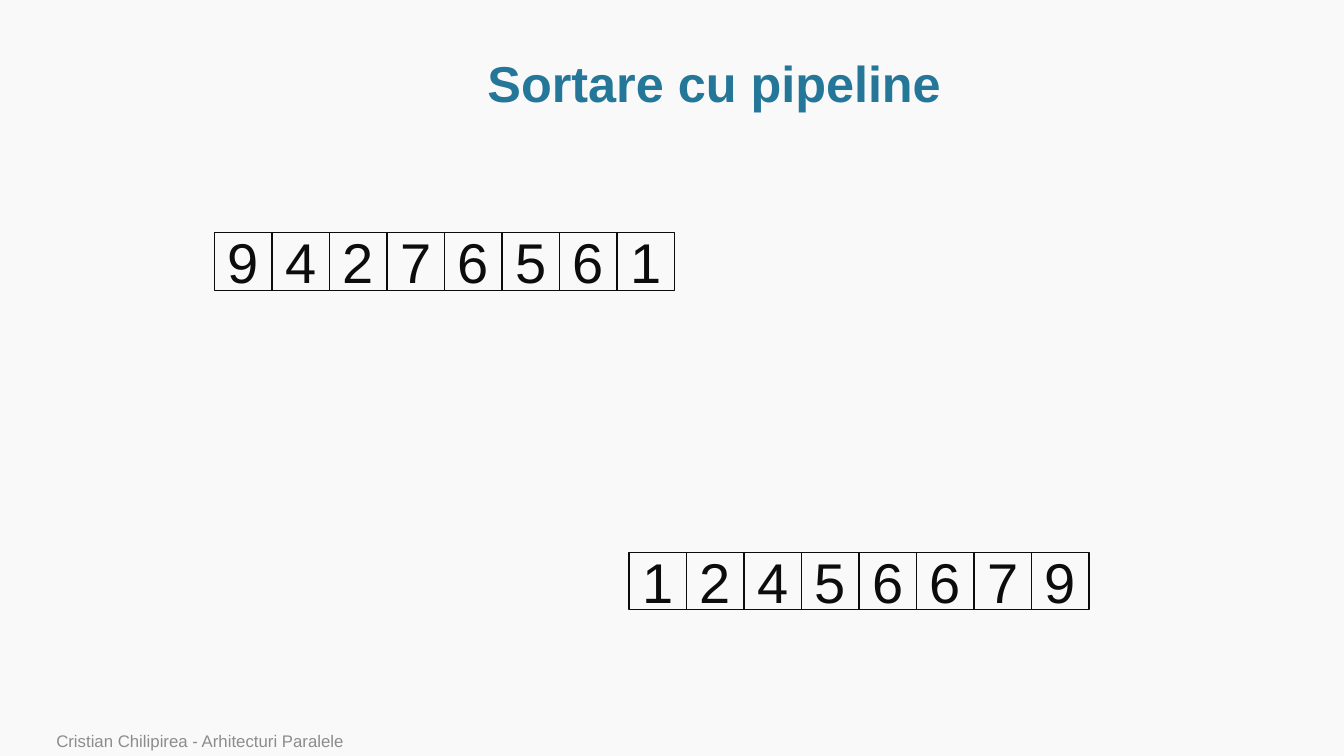
from pptx import Presentation
from pptx.dml.color import RGBColor
from pptx.enum.shapes import MSO_SHAPE
from pptx.enum.text import MSO_ANCHOR, PP_ALIGN
from pptx.util import Inches, Pt

RECTANGLE = MSO_SHAPE.RECTANGLE
MIDDLE, BOTTOM = MSO_ANCHOR.MIDDLE, MSO_ANCHOR.BOTTOM
LEFT, CENTER = PP_ALIGN.LEFT, PP_ALIGN.CENTER

BACKGROUND = RGBColor(0xF9, 0xF9, 0xF9)
TEAL = RGBColor(0x24, 0x77, 0x98)
INK = RGBColor(0x0C, 0x0C, 0x0C)
GRAY = RGBColor(0x8C, 0x8C, 0x8C)

TITLE_ONLY = 5
CELL = 0.57


class SlideBuilder:
    font_name = "Arial"

    def __init__(self, slide):
        self.slide = slide
        slide.background.fill.solid()
        slide.background.fill.fore_color.rgb = BACKGROUND

    def add_text(self, frame, text, size, color, align, anchor, bold=False):
        frame.word_wrap = True
        frame.vertical_anchor = anchor
        paragraph = frame.paragraphs[0]
        paragraph.alignment = align
        run = paragraph.add_run()
        run.text = text
        run.font.name = self.font_name
        run.font.size = Pt(size)
        run.font.bold = bold
        run.font.color.rgb = color
        return paragraph

    def title(self, text, left, top, width, height):
        heading = self.slide.shapes.title
        heading.left, heading.top = Inches(left), Inches(top)
        heading.width, heading.height = Inches(width), Inches(height)
        paragraph = self.add_text(heading.text_frame, text, 36, TEAL, CENTER, MIDDLE, bold=True)
        paragraph.line_spacing = 0.9

    def number_row(self, numbers, left, top):
        """Draw the numbers as touching square cells, from left to right."""
        for index, number in enumerate(numbers):
            cell = self.slide.shapes.add_shape(
                RECTANGLE, Inches(left + index * CELL), Inches(top), Inches(CELL), Inches(CELL))
            cell.shadow.inherit = False
            cell.fill.background()
            cell.line.color.rgb = INK
            cell.line.width = Pt(1)
            self.add_text(cell.text_frame, str(number), 40, INK, CENTER, MIDDLE)

    def footer(self, text, left, top, width, height):
        credit = self.slide.shapes.add_textbox(
            Inches(left), Inches(top), Inches(width), Inches(height))
        self.add_text(credit.text_frame, text, 12, GRAY, LEFT, BOTTOM)


def main():
    presentation = Presentation()
    presentation.slide_width = Inches(13.33)
    presentation.slide_height = Inches(7.5)
    slide = presentation.slides.add_slide(presentation.slide_layouts[TITLE_ONLY])

    unsorted_numbers = [9, 4, 2, 7, 6, 5, 6, 1]
    builder = SlideBuilder(slide)
    builder.title("Sortare cu pipeline", 1.14, 0.51, 11.89, 0.69)
    builder.number_row(unsorted_numbers, 2.13, 2.31)
    builder.number_row(sorted(unsorted_numbers), 6.24, 5.48)
    builder.footer("Cristian Chilipirea - Arhitecturi Paralele", 0.46, 7.22, 9.82, 0.28)

    presentation.save("out.pptx")


if __name__ == "__main__":
    main()
